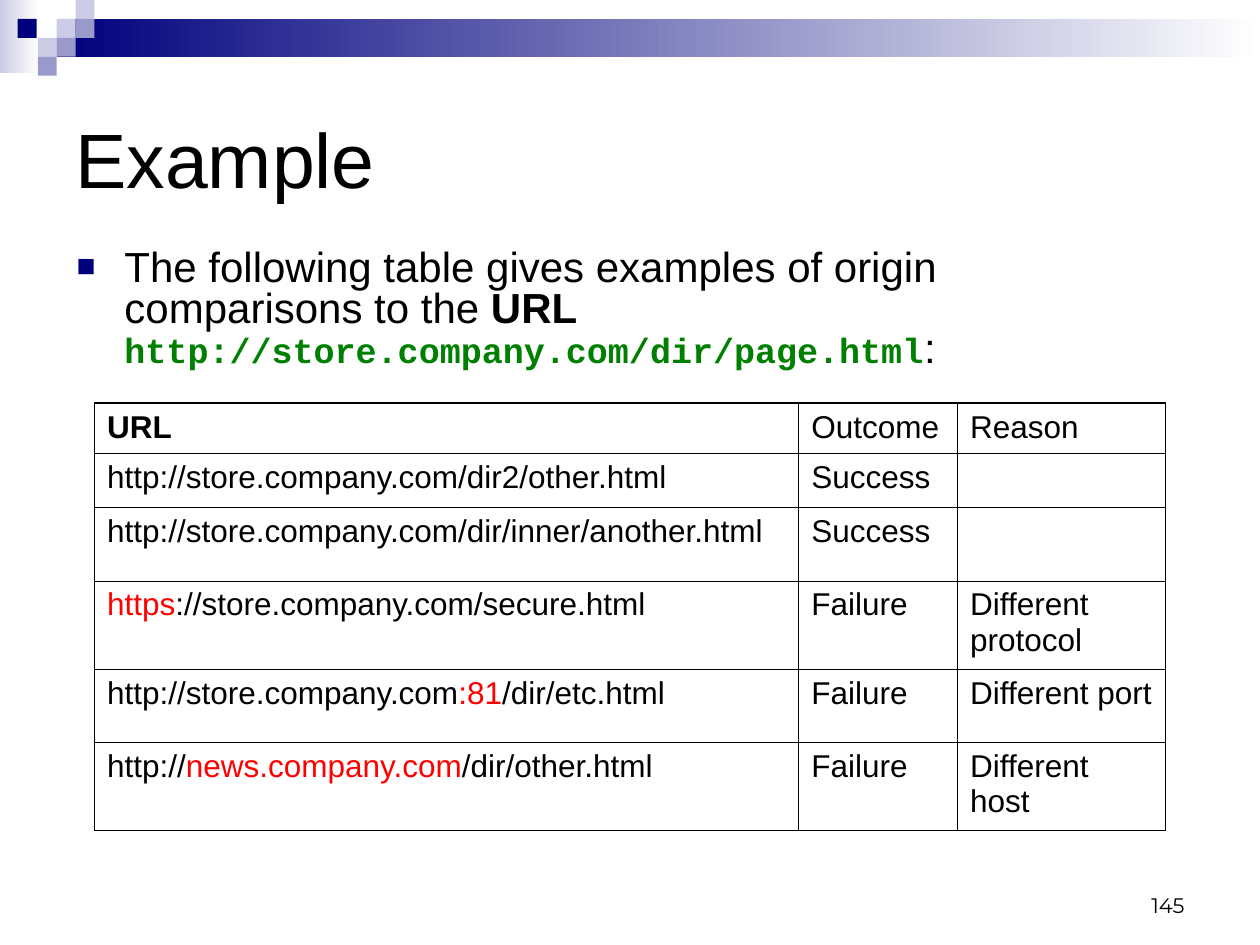
"""Builds a slide with a table of origin comparisons for a URL."""
from lxml import etree
from pptx import Presentation
from pptx.dml.color import RGBColor
from pptx.enum.shapes import MSO_SHAPE
from pptx.enum.text import MSO_ANCHOR, PP_ALIGN
from pptx.oxml.ns import qn
from pptx.util import Inches, Pt

RECTANGLE = MSO_SHAPE.RECTANGLE
TOP, MIDDLE, BOTTOM = MSO_ANCHOR.TOP, MSO_ANCHOR.MIDDLE, MSO_ANCHOR.BOTTOM
LEFT, RIGHT = PP_ALIGN.LEFT, PP_ALIGN.RIGHT
BLACK, WHITE, RED, GREEN = "000000", "FFFFFF", "FF0000", "008000"
NAVY, LAVENDER, PERIWINKLE = "00007D", "CCCCE6", "9999CC"
OUTER, INNER = 1.08, 0.45


def rgb(hex_text):
    return RGBColor.from_string(hex_text)


def add_xml(parent, tag, **attributes):
    return etree.SubElement(parent, qn(tag), attributes)


class SlideBuilder:
    def __init__(self, slide, font="Arial", color=BLACK):
        self.slide = slide
        self.font = font
        self.color = color

    def block(self, left, top, width, height, *colors):
        shape = self.slide.shapes.add_shape(
            RECTANGLE, Inches(left), Inches(top), Inches(width), Inches(height))
        shape.shadow.inherit = False
        shape.line.fill.background()
        if len(colors) == 1:
            shape.fill.solid()
            shape.fill.fore_color.rgb = rgb(colors[0])
        else:
            shape.fill.gradient()
            shape.fill.gradient_angle = 0
            for stop, color in zip(shape.fill.gradient_stops, colors):
                stop.color.rgb = rgb(color)

    def add_pieces(self, paragraph, pieces, size):
        for text, style in pieces:
            run = paragraph.add_run()
            run.text = text
            run.font.size = Pt(style.get("size", size))
            run.font.name = style.get("font", self.font)
            run.font.bold = style.get("bold", False)
            run.font.color.rgb = rgb(style.get("color", self.color))

    def text(self, left, top, width, height, pieces, size, anchor=TOP, align=LEFT):
        frame = self.slide.shapes.add_textbox(
            Inches(left), Inches(top), Inches(width), Inches(height)).text_frame
        frame.word_wrap = True
        frame.vertical_anchor = anchor
        paragraph = frame.paragraphs[0]
        paragraph.alignment = align
        self.add_pieces(paragraph, pieces, size)
        return paragraph

    def bullet(self, left, top, width, height, pieces, size):
        paragraph = self.text(left, top, width, height, pieces, size)
        paragraph.line_spacing = 0.8
        paragraph.space_before = Pt(6)
        properties = paragraph._p.get_or_add_pPr()
        properties.set("marL", str(Inches(0.38)))
        properties.set("indent", str(-Inches(0.38)))
        add_xml(add_xml(properties, "a:buClr"), "a:srgbClr", val=NAVY)
        add_xml(properties, "a:buSzPct", val="75000")
        add_xml(properties, "a:buFont", typeface=self.font)
        add_xml(properties, "a:buChar", char="■")

    def border(self, cell, side, points):
        line = add_xml(cell._tc.get_or_add_tcPr(), f"a:ln{side}", w=str(Pt(points)))
        add_xml(add_xml(line, "a:solidFill"), "a:srgbClr", val=self.color)

    def table(self, left, top, widths, heights, rows, size):
        table = self.slide.shapes.add_table(
            len(heights), len(widths), Inches(left), Inches(top),
            Inches(sum(widths)), Inches(sum(heights))).table
        table.first_row = table.horz_banding = False
        for column, width in zip(table.columns, widths):
            column.width = Inches(width)
        for row, height in zip(table.rows, heights):
            row.height = Inches(height)
        last_row, last_column = len(heights) - 1, len(widths) - 1
        for r, row in enumerate(rows):
            for c, pieces in enumerate(row):
                cell = table.cell(r, c)
                edges = {"L": c == 0, "R": c == last_column,
                         "T": r == 0, "B": r == last_row}
                for side, is_outer in edges.items():
                    self.border(cell, side, OUTER if is_outer else INNER)
                cell.fill.background()
                paragraph = cell.text_frame.paragraphs[0]
                paragraph.space_before = Pt(4.5)
                paragraph.font.size = Pt(size)
                self.add_pieces(paragraph, pieces, size)


def plain(text):
    return [(text, {})] if text else []


def marked(before, difference, after):
    return [*plain(before), (difference, {"color": RED}), *plain(after)]


COMPARISONS = [
    ([("URL", {"bold": True})], "Outcome", "Reason"),
    (plain("http://store.company.com/dir2/other.html"), "Success", ""),
    (plain("http://store.company.com/dir/inner/another.html"), "Success", ""),
    (marked("", "https", "://store.company.com/secure.html"),
     "Failure", "Different protocol"),
    (marked("http://store.company.com", ":81", "/dir/etc.html"),
     "Failure", "Different port"),
    (marked("http://", "news.company.com", "/dir/other.html"),
     "Failure", "Different host"),
]
INTRODUCTION = [
    ("The following table gives examples of origin comparisons to the ", {}),
    ("URL ", {"bold": True}),
    ("http://store.company.com/dir/page.html",
     {"bold": True, "size": 20, "font": "Courier New", "color": GREEN}),
    (":", {}),
]
MOSAIC = [
    (0.45, 0.15, LAVENDER), (0.6, 0, LAVENDER), (0.6, 0.15, PERIWINKLE),
    (0.3, 0.3, LAVENDER), (0.14, 0.15, NAVY), (0.45, 0.3, PERIWINKLE),
    (0.3, 0.45, PERIWINKLE),
]


def main():
    presentation = Presentation()
    presentation.slide_width, presentation.slide_height = Inches(10), Inches(7.5)
    builder = SlideBuilder(presentation.slides.add_slide(presentation.slide_layouts[6]))
    builder.block(0, 0, 0.31, 0.58, LAVENDER, WHITE)
    builder.block(0.45, 0.15, 9.55, 0.3, NAVY, WHITE)
    for left, top, color in MOSAIC:
        builder.block(left, top, 0.15, 0.15, color)
    builder.text(7.17, 6.83, 2.33, 0.5, [("145", {"font": "Montserrat"})], 12,
                 BOTTOM, RIGHT)
    builder.text(0.5, 0.5, 9, 1.5, plain("Example"), 44, MIDDLE)
    builder.bullet(0.51, 1.94, 8.74, 1.12, INTRODUCTION, 24)
    rows = [(url, plain(outcome), plain(reason)) for url, outcome, reason in COMPARISONS]
    builder.table(0.75, 3.2, [5.59, 1.26, 1.65], [0.4, 0.43, 0.58, 0.7, 0.58, 0.7],
                  rows, 18)
    presentation.save("out.pptx")


if __name__ == "__main__":
    main()
